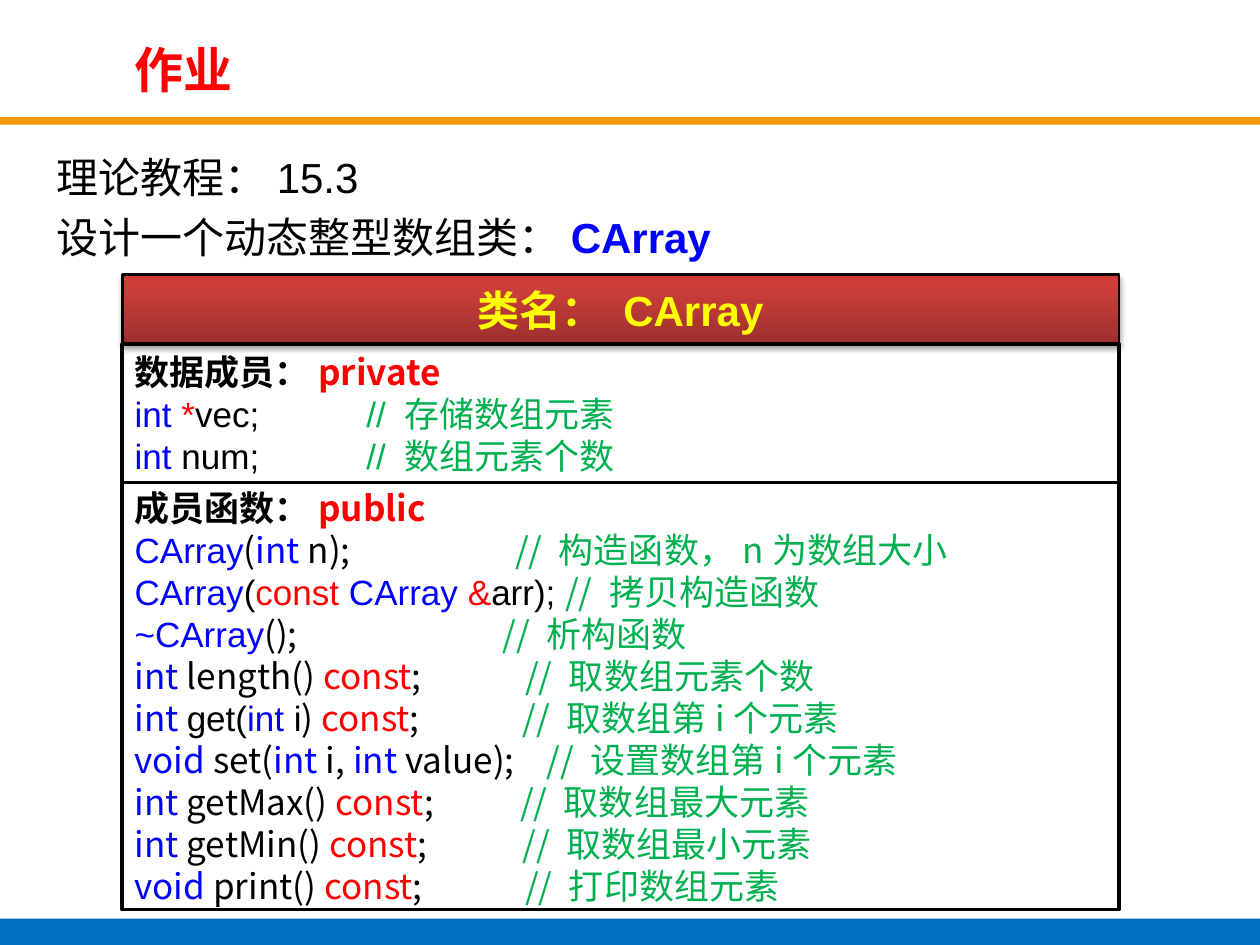
from copy import deepcopy
from lxml.etree import SubElement as Sub
from pptx import Presentation
from pptx.dml.color import RGBColor
from pptx.enum.shapes import MSO_SHAPE as Kind
from pptx.enum.text import MSO_ANCHOR as Anchor, MSO_AUTO_SIZE as Auto, PP_ALIGN as Align
from pptx.oxml.ns import qn
from pptx.util import Inches, Pt

NOTO = "Noto Sans CJK SC"
HUES = {"k": "000000", "b": "0000FF", "r": "FF0000", "g": "00B050", "y": "FFFF00"}


def rgb(code):
    """Turn a hex string into a colour."""
    return RGBColor.from_string(code)


class Deck:
    """Hold the style and the current slide."""

    def __init__(self):
        """Start a deck with one title and body slide."""
        self.prs = Presentation()
        self.prs.slide_width, self.prs.slide_height = Inches(10), Inches(7.5)
        self.slide = self.prs.slides.add_slide(self.prs.slide_layouts[1])

    def label(self, frame, rows, size, align=Align.LEFT):
        """Fill a frame; each row is a tab stop and (text, style) parts.

        Styles: a hue letter, then A for Arial and * for bold.
        """
        frame.word_wrap = True
        frame.auto_size = Auto.NONE
        for i, (stop, parts) in enumerate(rows):
            para = frame.paragraphs[0] if i == 0 else frame.add_paragraph()
            para.alignment = align
            para.space_before = Pt(0)
            for text, style in parts:
                run = para.add_run()
                run.text = text
                font = run.font
                font.size, font.bold = Pt(size), "*" in style
                font.color.rgb = rgb(HUES[style[0]])
                font.name = "Arial" if "A" in style else NOTO
                Sub(run._r.get_or_add_rPr(), qn("a:ea")).set("typeface", NOTO)
            if stop:
                tabs = Sub(para._p.get_or_add_pPr(), qn("a:tabLst"))
                Sub(tabs, qn("a:tab"), pos=str(Inches(stop)), algn="l")

    def place(self, index, box, rows, size, align=Align.LEFT):
        """Move and fill a placeholder."""
        shape = self.slide.placeholders[index]
        shape.left, shape.top, shape.width, shape.height = map(Inches, box)
        self.label(shape.text_frame, rows, size, align)
        return shape.text_frame

    def title(self, box, text):
        """Set the slide title."""
        frame = self.place(0, box, [(0, [(text, "rA*")])], 28)
        frame.vertical_anchor = Anchor.MIDDLE

    def body(self, box, rows):
        """Set the body lines without bullets."""
        frame = self.place(1, box, rows, 24, Align.JUSTIFY)
        frame.vertical_anchor = Anchor.TOP
        for para in frame.paragraphs:
            para.line_spacing = 1.2
            props = para._p.get_or_add_pPr()
            props.set("marL", "0")
            props.set("indent", "0")
            Sub(props, qn("a:buNone"))

    def rect(self, box, fill=None, line=0):
        """Add a rectangle with an optional fill and black outline."""
        shape = self.slide.shapes.add_shape(Kind.RECTANGLE, *map(Inches, box))
        shape.shadow.inherit = False
        if fill:
            shape.fill.solid()
            shape.fill.fore_color.rgb = rgb(fill)
        else:
            shape.fill.background()
        if line:
            shape.line.color.rgb = rgb("000000")
            shape.line.width = Pt(line)
        else:
            shape.line.fill.background()
        return shape

    def panel(self, box, rows, size=20, line=2, align=Align.LEFT):
        """Add an outlined box with text."""
        shape = self.rect(box, line=line)
        shape.text_frame.vertical_anchor = Anchor.MIDDLE
        self.label(shape.text_frame, rows, size, align)
        return shape

    def shade(self, shape, stops):
        """Give a shape an upward gradient and a soft shadow."""
        shape.fill.gradient()
        shape.fill.gradient_angle = 90
        props = shape._element.spPr
        group = props.find(qn("a:gradFill")).find(qn("a:gsLst"))
        while len(group) < len(stops):
            group.append(deepcopy(group[-1]))
        for stop, (spot, hue) in zip(shape.fill.gradient_stops, stops):
            stop.position, stop.color.rgb = spot, rgb(hue)
        glow = Sub(props.find(qn("a:effectLst")), qn("a:outerShdw"), blurRad=str(Pt(3.1)),
                   dist=str(Pt(1.8)), dir="5400000", rotWithShape="0")
        tint = Sub(glow, qn("a:srgbClr"), val="000000")
        Sub(tint, qn("a:alpha"), val="35000")


def getter(stop, kind, name, note):
    """Build the row of a const method without arguments."""
    return stop, [(kind, "b"), (f" {name}() ", "k"), ("const", "r"), (";\t", "k"),
                  ("// " + note, "g")]


def head(text, access):
    """Build the heading row of a class section."""
    return 0, [(text, "k*"), (access, "r*")]


deck = Deck()
deck.rect((0, 0.93, 10, 0.06), "F7990A")
deck.rect((0, 7.29, 10, 0.21), "0070C0")
deck.title((0.97, 0.27, 6.86, 0.55), "作业")
deck.body((0.35, 1.07, 9.29, 5.99), [
    (0, [("理论教程：15.3", "kA")]),
    (0, [("设计一个动态整型数组类：", "kA"), ("CArray", "bA*")]),
])

LEFT, WIDE = 0.97, 7.91
name = deck.panel((LEFT, 2.18, WIDE, 0.55), [(0, [("类名： CArray", "yA*")])],
                  24, 1.5, Align.CENTER)
deck.shade(name, [(0, "9C2F2D"), (0.8, "CB3E3A"), (1, "CE3B37")])

deck.panel((LEFT, 2.73, WIDE, 1.1), [
    head("数据成员：", "private"),
    (1.84, [("int ", "bA"), ("*", "rA"), ("vec;\t", "kA"), ("// 存储数组元素", "gA")]),
    (1.84, [("int ", "bA"), ("num;\t", "kA"), ("// 数组元素个数", "gA")]),
])

deck.panel((LEFT, 3.83, WIDE, 3.39), [
    head("成员函数：", "public"),
    (3.02, [("CArray", "bA"), ("(", "k"), ("int", "b"), (" n);\t", "k"),
            ("// 构造函数，n为数组大小", "g")]),
    (0, [("CArray", "bA"), ("(", "kA"), ("const ", "rA"), ("CArray ", "bA"),
         ("&", "rA"), ("arr); ", "kA"), ("// 拷贝构造函数", "g")]),
    (2.92, [("~CArray", "bA"), ("();\t", "k"), ("// 析构函数", "g")]),
    getter(3.1, "int", "length", "取数组元素个数"),
    (3.08, [("int ", "b"), ("get(", "kA"), ("int ", "bA"), ("i", "kA"), (") ", "k"),
            ("const", "r"), (";\t", "k"), ("// 取数组第i个元素", "g")]),
    (3.27, [("void ", "b"), ("set(", "k"), ("int ", "b"), ("i, ", "k"), ("int", "b"),
            (" value);\t", "k"), ("// 设置数组第i个元素", "g")]),
    getter(3.06, "int", "getMax", "取数组最大元素"),
    getter(3.08, "int", "getMin", "取数组最小元素"),
    getter(3.1, "void", "print", "打印数组元素"),
])

deck.prs.save("out.pptx")
